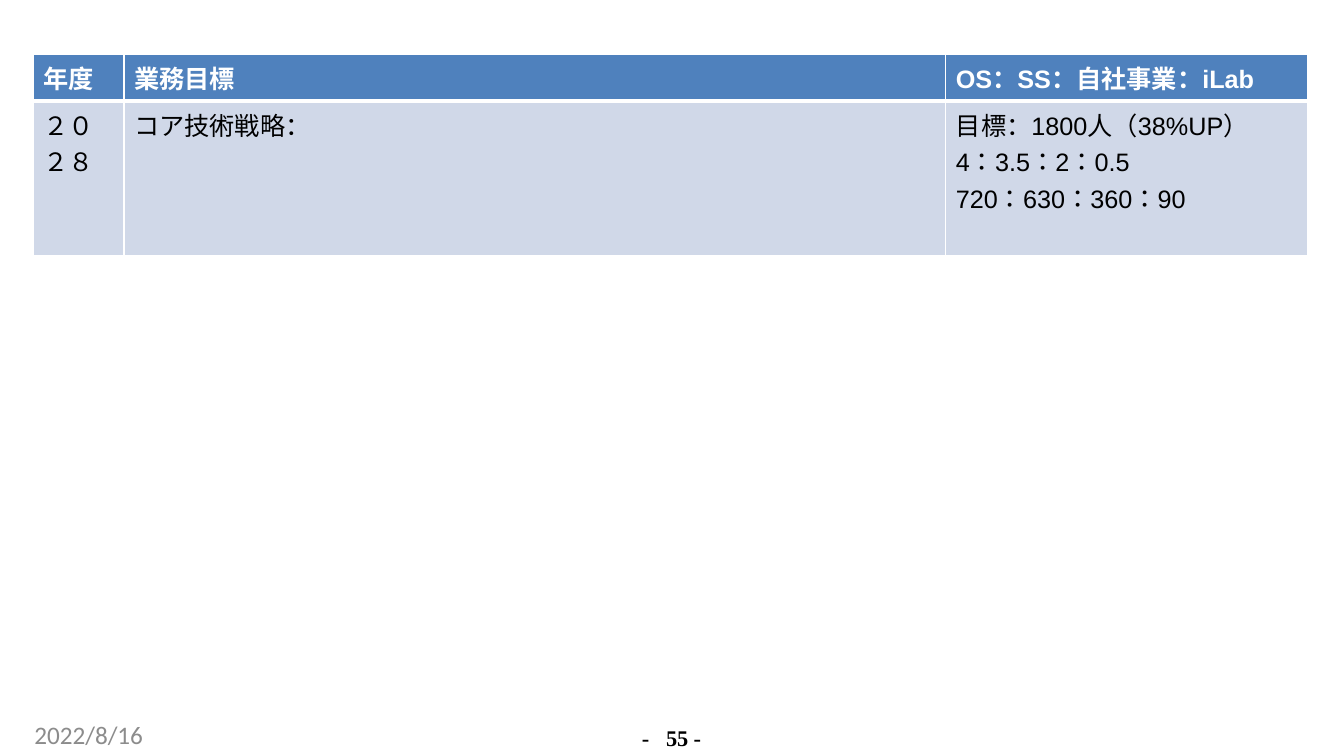
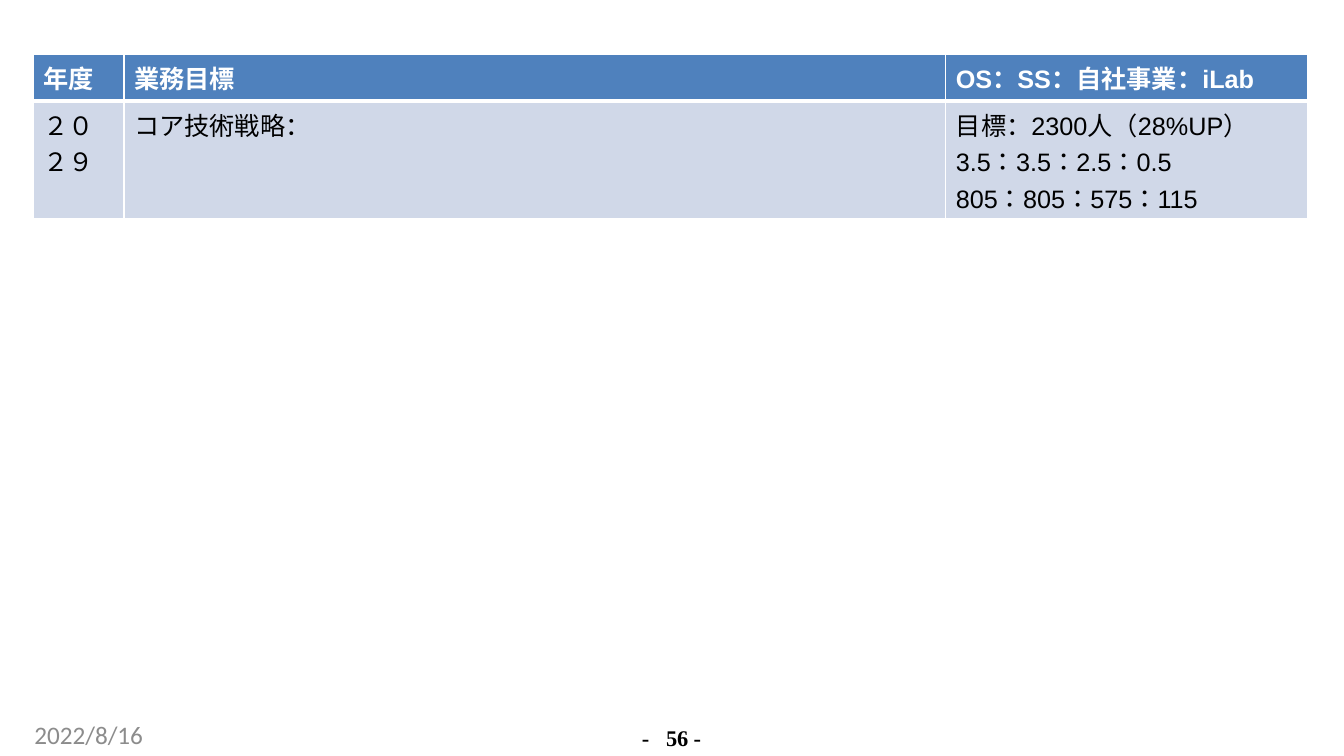
from dataclasses import dataclass

from lxml import etree
from pptx import Presentation
from pptx.dml.color import RGBColor
from pptx.enum.text import MSO_ANCHOR, PP_ALIGN
from pptx.oxml.ns import qn
from pptx.util import Inches, Pt

LEFT, CENTER = PP_ALIGN.LEFT, PP_ALIGN.CENTER
TOP = MSO_ANCHOR.TOP

WHITE, BLACK, GREY = "FFFFFF", "000000", "8C8C8C"
HEADER_FILL, BODY_FILL = "4F81BD", "D0D8E8"
EAST_ASIAN = "Noto Sans CJK JP"
HEADINGS = ["年度", "業務目標", "OS：SS：自社事業：iLab"]
COLUMN_WIDTHS = [0.9, 8.15, 3.59]
HEADER_HEIGHT = 0.46
DATE = "2022/8/16"


@dataclass(frozen=True)
class TextStyle:
    font: str
    size: float
    color: str
    bold: bool = False


@dataclass(frozen=True)
class RowStyle:
    text: TextStyle
    fill: str
    borders: dict[str, float]


@dataclass(frozen=True)
class YearPlan:
    year: str
    goal: str
    figures: str
    body_height: float
    page: int


PAGE_STYLE = TextStyle("Times New Roman", 16, BLACK, True)
DATE_STYLE = TextStyle("Calibri", 18, GREY)
HEADER_ROW = RowStyle(TextStyle("Arial", 18, WHITE, True), HEADER_FILL,
                      {"L": 1, "R": 1, "T": 1, "B": 3})
BODY_ROW = RowStyle(TextStyle("Arial", 18, BLACK), BODY_FILL,
                    {"L": 1, "R": 1, "T": 3, "B": 1})

PLANS = [
    YearPlan("２０２８", "コア技術戦略：",
             "目標：1800人（38%UP）\n4：3.5：2：0.5\n720：630：360：90", 1.53, 55),
    YearPlan("２０２９", "コア技術戦略：",
             "目標：2300人（28%UP）\n3.5：3.5：2.5：0.5\n805：805：575：115", 1.17, 56),
]


def rgb(color: str) -> RGBColor:
    return RGBColor.from_string(color)


def write(tf, text: str, style: TextStyle, align=LEFT) -> None:
    tf.text = text
    for p in tf.paragraphs:
        p.alignment = align
        p.font.name = style.font
        p.font.size = Pt(style.size)
        p.font.bold = style.bold
        p.font.color.rgb = rgb(style.color)
        props = p._p.get_or_add_pPr().find(qn("a:defRPr"))
        etree.SubElement(props, qn("a:ea"), typeface=EAST_ASIAN)


def add_text(s, box: tuple[float, float, float, float], text: str,
             style: TextStyle, align=LEFT):
    tf = s.shapes.add_textbox(*map(Inches, box)).text_frame
    tf.margin_left = tf.margin_right = tf.margin_top = tf.margin_bottom = 0
    tf.vertical_anchor = TOP
    tf.word_wrap = True
    write(tf, text, style, align)
    return tf.paragraphs[0]


def add_footer(s, page: int) -> None:
    p = add_text(s, (6.23, 7.19, 0.86, 0.25), f"-\t{page} -", PAGE_STYLE, CENTER)
    p.line_spacing = Pt(18.4)
    props = p._p.pPr.find(qn("a:defRPr"))
    props.set("spc", "-10")
    tabs = etree.Element(qn("a:tabLst"))
    etree.SubElement(tabs, qn("a:tab"), pos=str(Inches(0.24)), algn="l")
    props.addprevious(tabs)
    add_text(s, (0.34, 7.14, 3.07, 0.3), DATE, DATE_STYLE)


def format_cell(cell, text: str, style: RowStyle) -> None:
    write(cell.text_frame, text, style.text)
    tc_pr = cell._tc.get_or_add_tcPr()
    for side, width in style.borders.items():
        line = etree.SubElement(tc_pr, qn(f"a:ln{side}"), w=str(Pt(width)))
        fill = etree.SubElement(line, qn("a:solidFill"))
        etree.SubElement(fill, qn("a:srgbClr"), val=WHITE)
    cell.fill.solid()
    cell.fill.fore_color.rgb = rgb(style.fill)


def add_plan_table(s, plan: YearPlan) -> None:
    heights = [HEADER_HEIGHT, plan.body_height]
    rows = [(HEADINGS, HEADER_ROW),
            ([plan.year, plan.goal, plan.figures], BODY_ROW)]
    table = s.shapes.add_table(
        len(rows), len(COLUMN_WIDTHS), Inches(0.33), Inches(0.54),
        Inches(sum(COLUMN_WIDTHS)), Inches(sum(heights))).table
    for column, width in zip(table.columns, COLUMN_WIDTHS):
        column.width = Inches(width)
    for row, height, (texts, style) in zip(table.rows, heights, rows):
        row.height = Inches(height)
        for cell, text in zip(row.cells, texts):
            format_cell(cell, text, style)


def main() -> None:
    prs = Presentation()
    prs.slide_width, prs.slide_height = Inches(13.33), Inches(7.5)
    blank = prs.slide_layouts[6]
    for plan in PLANS:
        s = prs.slides.add_slide(blank)
        add_plan_table(s, plan)
        add_footer(s, plan.page)
    prs.save("out.pptx")


main()
